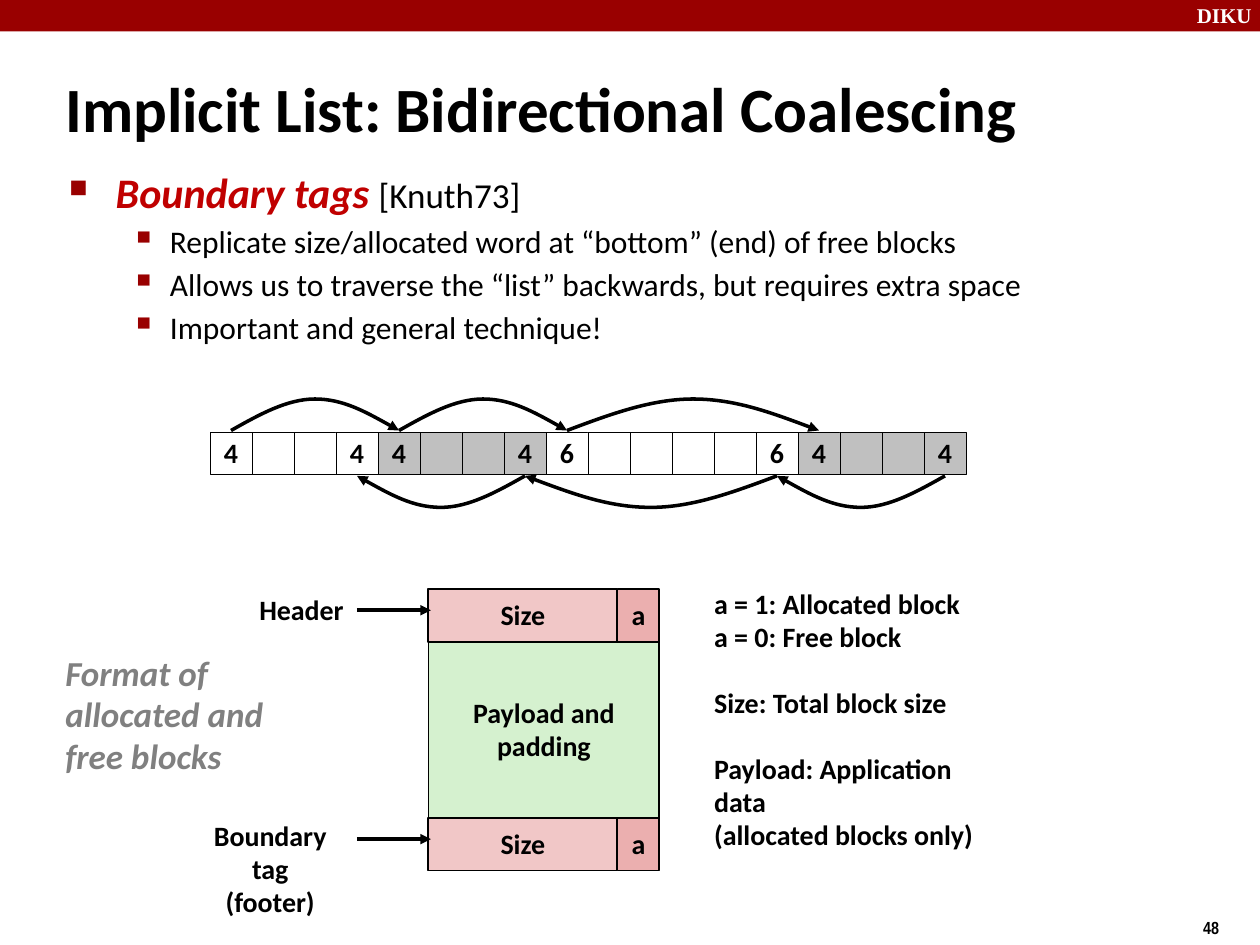
from lxml.etree import SubElement
from pptx import Presentation
from pptx.dml.color import RGBColor
from pptx.enum.shapes import MSO_CONNECTOR as Connector, MSO_SHAPE as Shape
from pptx.enum.text import MSO_ANCHOR as Anchor, PP_ALIGN as Align
from pptx.oxml.ns import qn
from pptx.util import Inches, Pt

TITLE = "Implicit List: Bidirectional Coalescing"
BODY = [
    (0, [("Boundary tags ", "term"), ("[Knuth73]", "cite")]),
    (1, [("Replicate size/allocated word at “bottom” (end) of free blocks", "point")]),
    (1, [("Allows us to traverse the “list” backwards, but requires extra space", "point")]),
    (1, [("Important and general technique!", "point")]),
]
BLOCKS = [(4, "free"), (4, "allocated"), (6, "free"), (4, "allocated")]
LEGEND = [
    ["a = 1: Allocated block", "a = 0: Free block"],
    ["Size: Total block size"],
    ["Payload: Application data", "(allocated blocks only)"],
]
CAPTION = ["Format of", "allocated and", "free blocks"]
PAYLOAD = ["Payload and", "padding"]
HEADER = ["Header"]
FOOTER = ["Boundary tag", "(footer)"]

THEME = {
    "ink": "000000", "accent": "990000", "free": "FFFFFF", "allocated": "C0C0C0",
    "size": "F1C7C7", "flag": "EBAFAF", "payload": "D5F1CF",
    "styles": {
        "brand": ("Times New Roman", 12, "FFFFFF", True, False),
        "number": ("Arial Narrow", 10, "000000", True, False),
        "title": ("Calibri", 36, "000000", True, False),
        "term": ("Calibri", 24, "C00000", True, True),
        "cite": ("Calibri", 20, "000000", False, False),
        "point": ("Calibri", 18, "000000", False, False),
        "label": ("Calibri", 16, "000000", True, False),
        "caption": ("Calibri", 20, "808080", True, True),
    },
    "levels": [
        {"margin": 0.38, "indent": -0.37, "lines": 0.83, "before": 12.5, "bullet": "■", "scale": 60},
        {"margin": 0.81, "indent": -0.31, "lines": 0.88, "before": 5.6, "bullet": "▪", "scale": 110},
    ],
}

COLUMNS, ROWS = 30, 22.5
UNIT = Inches(10) / COLUMNS
ROW_LEFT, ROW_TOP = 5, 10.29
ARC_RISE, ARC_GAP = 0.75, 0.04
FORMAT_LEFT, FLAG_LEFT, FORMAT_RIGHT = 10.2, 14.7, 15.7
HEADER_TOP, PAYLOAD_TOP, FOOTER_TOP, TAG_HEIGHT = 14.03, 15.28, 19.48, 1.25
ARROW_LEFT, ARROW_RIGHT, ARROW_DROP = 8.5, 10.26, 0.5


def grid(*values):
    return [round(value * UNIT) for value in values]


def color(value):
    return RGBColor.from_string(value)


def write(shape, lines, style="label", align=None, anchor=Anchor.TOP, wrap=False, spacing=0.98):
    frame = shape.text_frame
    frame.word_wrap = wrap
    frame.vertical_anchor = anchor
    for index, line in enumerate(lines):
        paragraph = frame.add_paragraph() if index else frame.paragraphs[0]
        paragraph.alignment = align
        paragraph.line_spacing = spacing
        for text, name in [(line, style)] if isinstance(line, str) else line:
            run = paragraph.add_run()
            run.text = text
            font = run.font
            font.name, size, ink, font.bold, font.italic = THEME["styles"][name]
            font.size = Pt(size)
            font.color.rgb = color(ink)
    return frame.paragraphs


def add_text(slide, box, lines, **style):
    return write(slide.shapes.add_textbox(*grid(*box)), lines, **style)


def add_box(slide, box, fill, lines=(), width=1):
    shape = slide.shapes.add_shape(Shape.RECTANGLE, *grid(*box))
    shape.shadow.inherit = False
    shape.fill.solid()
    shape.fill.fore_color.rgb = color(fill)
    if width:
        shape.line.color.rgb = color(THEME["ink"])
        shape.line.width = Pt(width)
    else:
        shape.line.fill.background()
    write(shape, lines, align=Align.CENTER, anchor=Anchor.MIDDLE)


def finish_arrow(shape):
    shape.line.color.rgb = color(THEME["ink"])
    shape.line.width = Pt(2)
    SubElement(shape.line._get_or_add_ln(), qn("a:tailEnd"), type="triangle")


def add_arrow(slide, y):
    arrow = slide.shapes.add_connector(
        Connector.STRAIGHT, *grid(ARROW_LEFT, y, ARROW_RIGHT, y))
    finish_arrow(arrow)
    SubElement(arrow._element.spPr, qn("a:effectLst"))


def add_arc(slide, start, end, base, rise):
    span = end - start
    shares = [(1 / 6, 0.5), (1 / 3, 1), (0.5, 1), (2 / 3, 1), (5 / 6, 0.5), (1, 0)]
    points = [grid(start + span * x, base + rise * y) for x, y in shares]
    builder = slide.shapes.build_freeform(*grid(start, base))
    builder.add_line_segments(points, close=False)
    arc = builder.convert_to_shape()
    outline = arc._element.spPr.find(".//" + qn("a:path"))
    segments = outline.findall(qn("a:lnTo"))
    for half in (segments[:3], segments[3:]):
        curve = SubElement(outline, qn("a:cubicBezTo"))
        for segment in half:
            curve.append(segment[0])
            outline.remove(segment)
    arc.fill.background()
    arc.shadow.inherit = False
    finish_arrow(arc)


def add_bullet(paragraph, level):
    look = THEME["levels"][level]
    paragraph.level = level
    paragraph.line_spacing = look["lines"]
    properties = paragraph._p.get_or_add_pPr()
    properties.set("marL", str(Inches(look["margin"])))
    properties.set("indent", str(Inches(look["indent"])))
    tint = SubElement(properties, qn("a:buClr"))
    SubElement(tint, qn("a:srgbClr"), val=THEME["accent"])
    SubElement(properties, qn("a:buSzPct"), val=str(look["scale"] * 1000))
    SubElement(properties, qn("a:buChar"), char=look["bullet"])
    return Pt(look["before"])


def add_frame(slide):
    add_box(slide, (0, 0, COLUMNS, 0.75), THEME["accent"], width=0)
    add_text(slide, (28.2, -0.09, 2, 0.9), ["DIKU"], style="brand", wrap=True, spacing=1)
    add_text(slide, (28.35, 21.69, 2.25, 0.87), ["48"], style="number", spacing=1)
    add_text(slide, (1.26, 1.62, 28.74, 1.89), [TITLE], style="title",
             anchor=Anchor.MIDDLE, wrap=True, spacing=1)
    paragraphs = add_text(slide, (1.32, 4.02, 27.24, 4.35), [runs for _, runs in BODY], wrap=True)
    for index, (paragraph, (level, _)) in enumerate(zip(paragraphs, BODY)):
        before = add_bullet(paragraph, level)
        if index:
            paragraph.space_before = before


def add_list(slide):
    heads, feet = [], []
    left = ROW_LEFT
    for words, state in BLOCKS:
        for word in range(words):
            lines = [str(words)] if word in (0, words - 1) else []
            add_box(slide, (left + word, ROW_TOP, 1, 1), THEME[state], lines, 0.25)
        heads.append(left + 0.5)
        left += words
        feet.append(left - 0.5)
    for start, end in zip(heads, heads[1:]):
        add_arc(slide, start, end, ROW_TOP - ARC_GAP, -ARC_RISE)
    for end, start in zip(feet, feet[1:]):
        add_arc(slide, start, end, ROW_TOP + 1 + ARC_GAP, ARC_RISE)


def add_format(slide):
    add_box(slide, (FORMAT_LEFT, PAYLOAD_TOP, FORMAT_RIGHT - FORMAT_LEFT, FOOTER_TOP - PAYLOAD_TOP),
            THEME["payload"], PAYLOAD)
    for top in (HEADER_TOP, FOOTER_TOP):
        add_box(slide, (FORMAT_LEFT, top, FLAG_LEFT - FORMAT_LEFT, TAG_HEIGHT), THEME["size"], ["Size"])
        add_box(slide, (FLAG_LEFT, top, FORMAT_RIGHT - FLAG_LEFT, TAG_HEIGHT), THEME["flag"], ["a"])
        add_arrow(slide, top + ARROW_DROP)
    add_text(slide, (5.88, 14.01, 2.61, 1.11), HEADER)
    add_text(slide, (4.29, 19.38, 4.29, 1.89), FOOTER, align=Align.CENTER)
    add_text(slide, (1.26, 15.42, 5.31, 3.27), CAPTION, style="caption")
    paragraphs = add_text(slide, (16.71, 13.86, 7.62, 6.57), sum(LEGEND, []))
    first = 0
    for group in LEGEND[:-1]:
        first += len(group)
        paragraphs[first].space_before = Pt(19)


def main():
    presentation = Presentation()
    presentation.slide_width, presentation.slide_height = grid(COLUMNS, ROWS)
    slide = presentation.slides.add_slide(presentation.slide_layouts[6])
    add_frame(slide)
    add_list(slide)
    add_format(slide)
    presentation.save("out.pptx")


if __name__ == "__main__":
    main()
